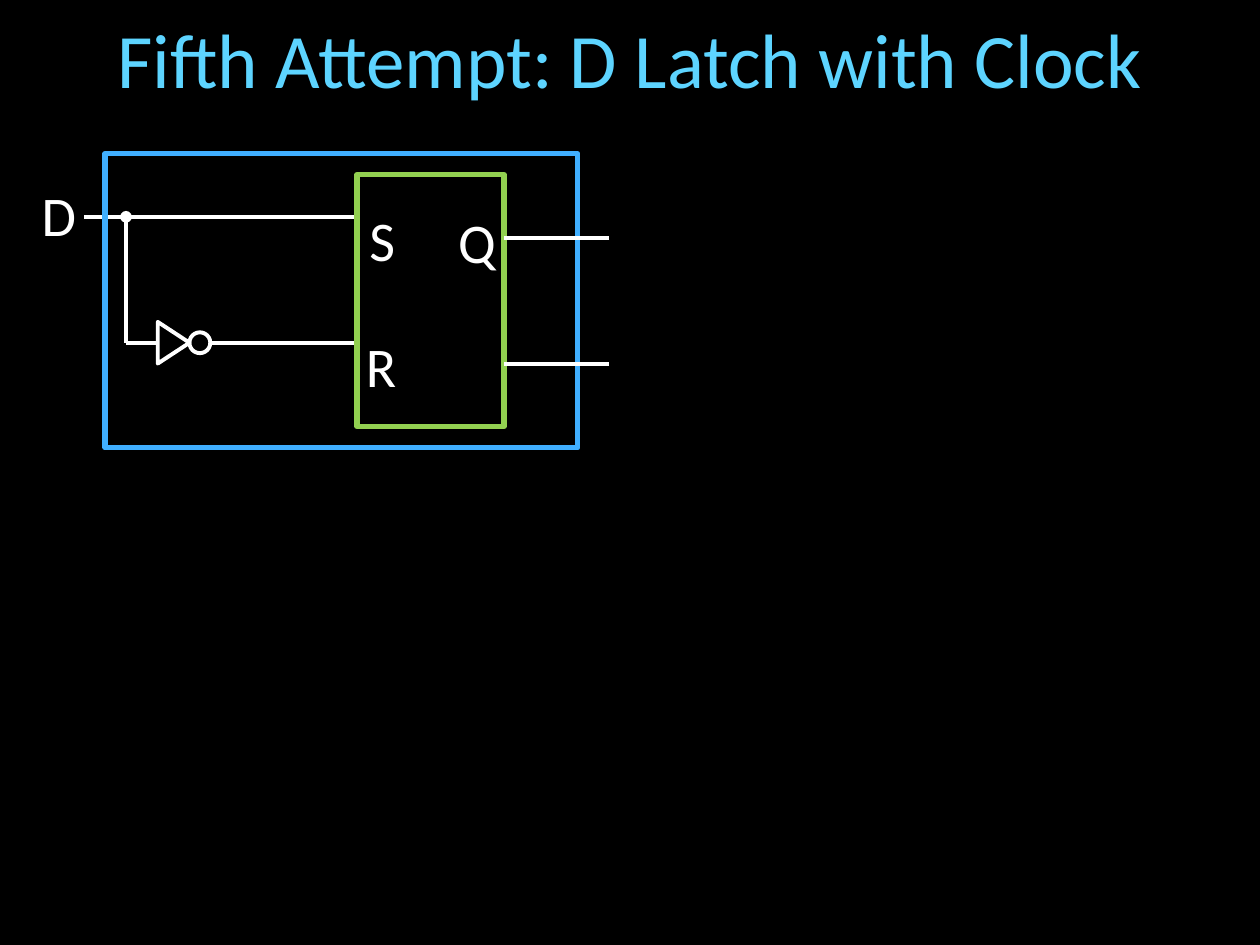
from lxml.etree import SubElement
from pptx import Presentation
from pptx.dml.color import RGBColor
from pptx.enum.shapes import MSO_CONNECTOR, MSO_SHAPE
from pptx.enum.text import MSO_ANCHOR, MSO_AUTO_SIZE, PP_ALIGN
from pptx.oxml.ns import qn
from pptx.util import Cm, Pt

INK = {"back": "000000", "title": "5DD4FF", "wire": "FFFFFF",
       "core": "92D050", "latch": "40AFFF"}


def tint(name):
    """Return the named colour."""
    return RGBColor.from_string(INK[name])


def style(item, **values):
    """Set each given attribute on the item."""
    for key, value in values.items():
        setattr(item, key, value)


def write(frame, text, size, ink, gap=1.0):
    """Put one centred line of text in a frame."""
    frame.text = text
    line = frame.paragraphs[0]
    style(line, alignment=PP_ALIGN.CENTER, line_spacing=gap)
    font = line.runs[0].font
    style(font, name="Calibri", size=Pt(size))
    font.color.rgb = tint(ink)


def wire(slide, box, start, end, dot=False):
    """Draw a wire between two points of the box."""
    left, top = box
    link = slide.shapes.add_connector(
        MSO_CONNECTOR.STRAIGHT, Cm(left + start[0]), Cm(top + start[1]),
        Cm(left + end[0]), Cm(top + end[1]))
    link.line.width = Pt(2.25)
    link.line.color.rgb = tint("wire")
    if dot:
        SubElement(link.line._get_or_add_ln(), qn("a:headEnd"), type="oval")
    SubElement(link._element.spPr, qn("a:effectLst"))


def frame(slide, kind, box, area, ink="wire", width=2.25, turn=0):
    """Draw an unfilled shape in the box."""
    left, top = box
    x, y, wide, high = area
    shape = slide.shapes.add_shape(
        kind, Cm(left + x), Cm(top + y), Cm(wide), Cm(high))
    shape.rotation = turn
    shape.shadow.inherit = False
    shape.fill.background()
    shape.line.width = Pt(width)
    shape.line.color.rgb = tint(ink)


def label(slide, box, text, x, y, wide):
    """Write a pin name in the box."""
    left, top = box
    note = slide.shapes.add_textbox(
        Cm(left + x), Cm(top + y), Cm(wide), Cm(1.37))
    style(note.text_frame, word_wrap=False, auto_size=MSO_AUTO_SIZE.NONE,
          vertical_anchor=MSO_ANCHOR.TOP)
    write(note.text_frame, text, 32, "wire", 1.16)


def heading(slide, left, top, wide, high):
    """Place and format the title."""
    title = slide.shapes.title
    style(title, left=Cm(left), top=Cm(top), width=Cm(wide), height=Cm(high))
    style(title.text_frame, word_wrap=True, auto_size=MSO_AUTO_SIZE.NONE,
          vertical_anchor=MSO_ANCHOR.MIDDLE)
    write(title.text_frame, "Fifth Attempt: D Latch with Clock", 44, "title")


def core(slide, left, top, wide, high):
    """Draw the inner SR block with its pins and outputs."""
    box = left, top
    frame(slide, MSO_SHAPE.RECTANGLE, box, (0, 0, wide, high), "core", 3)
    label(slide, box, "S", 0.05, 0.29, 0.91)
    label(slide, box, "R", 0, 2.83, 0.97)
    label(slide, box, "Q", wide - 1.09, 0.32, 1.09)
    for y in (high / 4, high * 3 / 4):
        wire(slide, box, (wide + 2.12, y), (wide, y))


def gate(slide, left, top, wide, high):
    """Draw a NOT gate pointing right."""
    box, ring = (left, top), 0.42
    body = wide - ring
    frame(slide, MSO_SHAPE.OVAL, box, (body, (high - ring) / 2, ring, ring))
    frame(slide, MSO_SHAPE.ISOSCELES_TRIANGLE, box,
          ((body - high) / 2, (high - body) / 2, high, body), turn=90)


def latch(slide, left, top, wide, high):
    """Draw the D latch around its SR block."""
    box = left, top
    upper, lower, fork, edge = 1.27, 3.81, 0.42, 5.08
    wire(slide, box, (edge, upper), (-0.42, upper))
    wire(slide, box, (edge, lower), (2.12, lower))
    wire(slide, box, (fork, upper), (fork, lower), dot=True)
    wire(slide, box, (1.06, lower), (fork, lower))
    label(slide, box, "D", -1.45, 0.2, 1.04)
    frame(slide, MSO_SHAPE.RECTANGLE, box, (0, 0, wide, high), "latch", 3)
    core(slide, left + edge, top + 0.42, 2.96, 5.08)
    gate(slide, left + 1.06, top + lower - 0.42, 1.06, 0.84)


def main():
    """Build and save the slide."""
    deck = Presentation()
    style(deck, slide_width=Cm(25.4), slide_height=Cm(19.05))
    slide = deck.slides.add_slide(deck.slide_layouts[5])
    slide.background.fill.solid()
    slide.background.fill.fore_color.rgb = tint("back")
    heading(slide, 0.64, 0.43, 24.13, 1.47)
    latch(slide, 2.12, 3.1, 9.53, 5.93)
    deck.save("out.pptx")


if __name__ == "__main__":
    main()
